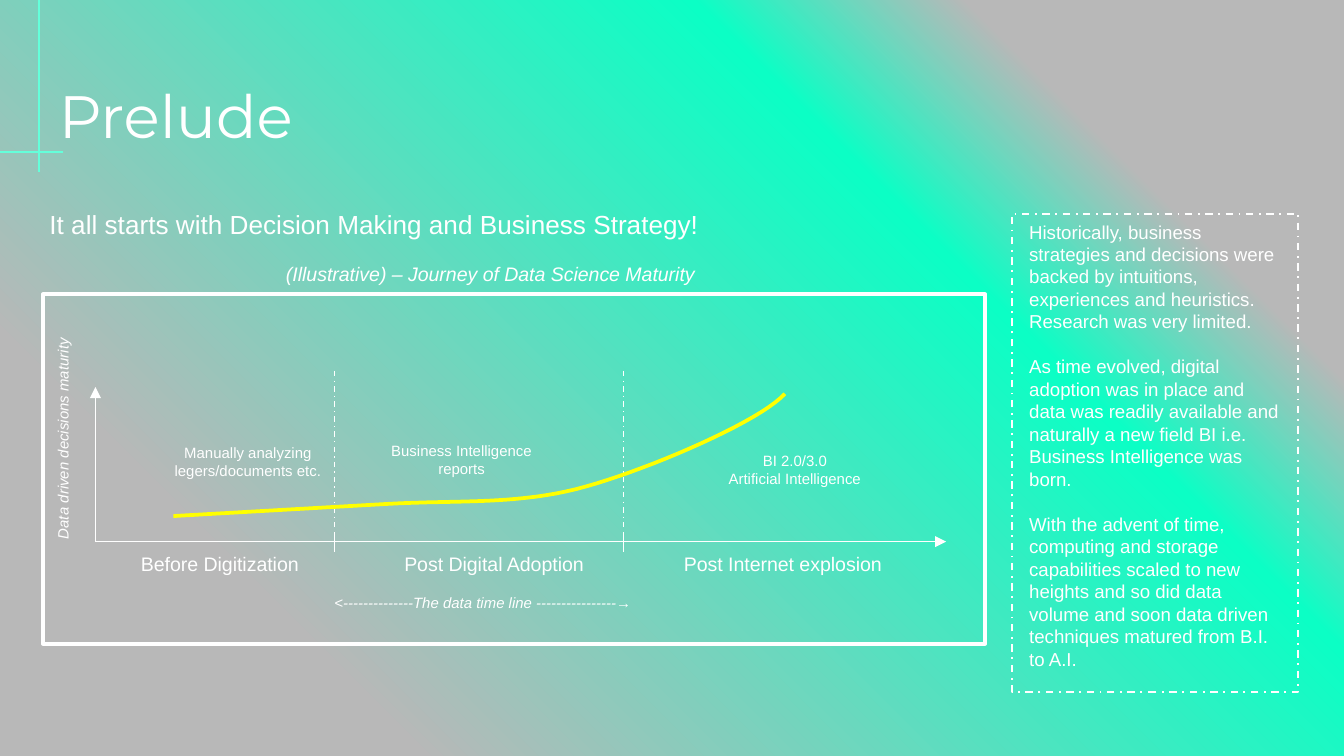
from lxml import etree
from pptx import Presentation
from pptx.dml.color import RGBColor
from pptx.enum.dml import MSO_LINE
from pptx.enum.shapes import MSO_CONNECTOR, MSO_SHAPE
from pptx.enum.text import MSO_AUTO_SIZE, PP_ALIGN
from pptx.oxml.ns import qn
from pptx.util import Inches, Pt

STRAIGHT = MSO_CONNECTOR.STRAIGHT
RECTANGLE = MSO_SHAPE.RECTANGLE
DASH_DOT = MSO_LINE.DASH_DOT
GROW, FIXED = MSO_AUTO_SIZE.SHAPE_TO_FIT_TEXT, MSO_AUTO_SIZE.NONE
LEFT, CENTER = PP_ALIGN.LEFT, PP_ALIGN.CENTER
BLANK = 6

COLORS = {"text": "FFFFFF", "accent": "64FFDA", "curve": "FFFF00",
          "edge": "B8B8B8", "glow": "0BFFC5"}
GLOW_STOPS = [(18, "edge"), (31, "glow"), (80, "edge")]

STAGES = [
    ("Before Digitization", 0.63, 1.46,
     ["Manually analyzing legers/documents etc."], 0.77, 1.06),
    ("Post Digital Adoption", 2.59, 1.57,
     ["Business Intelligence reports"], 2.36, 1.05),
    ("Post Internet explosion", 4.67, 1.7,
     ["BI 2.0/3.0", "Artificial Intelligence"], 4.84, 1.12),
]
CURVE_START = (0.97, 1.65)
CURVE_BENDS = [
    [(2.56, 1.56), (3.07, 1.53), (3.55, 1.57), (4.04, 1.43)],
    [(4.04, 1.43), (4.54, 1.29), (5.34, 0.94), (5.52, 0.74)],
]
HISTORY = [
    "Historically, business strategies and decisions were backed by intuitions, "
    "experiences and heuristics. Research was very limited.",
    "As time evolved, digital adoption was in place and data was readily available "
    "and naturally a new field BI i.e. Business Intelligence was born.",
    "With the advent of time, computing and storage capabilities scaled to new "
    "heights and so did data volume and soon data driven techniques matured from "
    "B.I. to A.I.",
]


def rgb(name):
    """Return the named colour."""
    return RGBColor.from_string(COLORS[name])


def style_line(line, color, width, dash=None):
    """Set the colour, width and dash of a line."""
    line.color.rgb = rgb(color)
    line.width = Pt(width)
    if dash:
        line.dash_style = dash


def add_text(shapes, box, paragraphs, size, wrap=False, font="Arial",
             italic=False, align=LEFT, autosize=GROW, inset=0.05, spacing=None):
    """Add a text box at the given left, top, width and height."""
    label = shapes.add_textbox(*map(Inches, box))
    frame = label.text_frame
    frame.text = "\n".join(paragraphs)
    frame.word_wrap = wrap
    frame.auto_size = autosize
    frame.margin_top = frame.margin_bottom = Inches(inset)
    for paragraph in frame.paragraphs:
        paragraph.alignment = align
        if spacing:
            paragraph.line_spacing = paragraph.space_after = Pt(spacing)
        look = {"name": font, "size": Pt(size), "italic": italic}
        for key, value in look.items():
            setattr(paragraph.runs[0].font, key, value)
        paragraph.runs[0].font.color.rgb = rgb("text")
    return label


def add_line(shapes, start, end, color="text", dash=None, arrow=False):
    """Add a thin straight line, with an arrowhead at its end if asked."""
    rule = shapes.add_connector(STRAIGHT, *map(Inches, (*start, *end)))
    style_line(rule.line, color, 0.75, dash)
    properties = rule.element.spPr
    if arrow:
        head = etree.SubElement(properties.find(qn("a:ln")), qn("a:tailEnd"))
        head.set("type", "triangle")
    etree.SubElement(properties, qn("a:effectLst"))


def add_outline(shapes, box, width, dash=None):
    """Add an unfilled white rectangle."""
    outline = shapes.add_shape(RECTANGLE, *map(Inches, box))
    outline.shadow.inherit = False
    outline.fill.background()
    style_line(outline.line, "text", width, dash)


def bezier(points, steps=20):
    """Return points along a cubic curve, leaving out its first one."""
    weights = [((1 - t) ** 3, 3 * t * (1 - t) ** 2, 3 * t * t * (1 - t), t ** 3)
               for t in (step / steps for step in range(1, steps + 1))]
    return [tuple(sum(w * p[axis] for w, p in zip(row, points)) for axis in (0, 1))
            for row in weights]


def paint_background(slide):
    """Fill the slide with the diagonal glow."""
    fill = slide.background.fill
    fill.gradient()
    fill.gradient_angle = 225
    stops = next(slide.element.iter(qn("a:gsLst")))
    for stop in list(stops):
        stops.remove(stop)
    for position, color in GLOW_STOPS:
        stop = etree.SubElement(stops, qn("a:gs"), pos=str(position * 1000))
        etree.SubElement(stop, qn("a:srgbClr"), val=COLORS[color])


def add_heading(slide, left, top):
    """Add the title with its crossed accent lines and the lead sentence."""
    shapes = slide.shapes
    add_text(shapes, (left, top, 9.32, 0.63), ["Prelude"], 32, wrap=True,
             font="Montserrat", autosize=FIXED, inset=0.1)
    add_line(shapes, (left - 0.05, 0), (left - 0.05, top + 0.79), "accent")
    add_line(shapes, (0, top + 0.64), (left + 0.13, top + 0.64), "accent")
    add_text(shapes, (left - 0.07, top + 1.01, 5.06, 0.34),
             ["It all starts with Decision Making and Business Strategy!"], 14)


def add_journey(slide, left, top, width, height):
    """Add the framed maturity diagram and its caption."""
    shapes = slide.shapes.add_group_shape().shapes

    def at(x, y):
        return left + x, top + y

    origin = at(0.39, 1.84)
    add_line(shapes, origin, at(6.72, 1.84), arrow=True)
    add_line(shapes, origin, at(0.39, 0.69), arrow=True)
    for x in (2.17, 4.32):
        add_line(shapes, at(x, 1.77), at(x, 1.92))
        add_line(shapes, at(x, 0.57), at(x, 1.73), dash=DASH_DOT)

    for stage, stage_x, stage_width, note, note_x, note_y in STAGES:
        add_text(shapes, (*at(stage_x, 1.87), stage_width, 0.28), [stage], 10.5)
        add_text(shapes, (*at(note_x, note_y), 1.51, 0.37), note, 8,
                 wrap=True, align=CENTER)
    maturity = add_text(shapes, (*at(-0.72, 0.93), 1.74, 0.24),
                        ["Data driven decisions maturity"], 8, italic=True)
    maturity.rotation = 270
    add_text(shapes, (*at(2.07, 2.18), 2.41, 0.24),
             ["<--------------The data time line ----------------→"], 8, italic=True)

    points = [CURVE_BENDS[0][0]] + [p for bend in CURVE_BENDS for p in bezier(bend)]
    builder = shapes.build_freeform(*map(Inches, at(*CURVE_START)))
    builder.add_line_segments([tuple(map(Inches, at(*p))) for p in points], close=False)
    curve = builder.convert_to_shape()
    curve.shadow.inherit = False
    curve.fill.background()
    style_line(curve.line, "curve", 2)

    add_outline(shapes, (left, top, width, height), 2)
    add_text(slide.shapes, (*at(1.71, -0.29), 3.3, 0.28),
             ["(Illustrative) – Journey of Data Science Maturity"], 10.5, italic=True)


def add_history(slide, left, top, width, height):
    """Add the dashed panel that tells the history."""
    add_text(slide.shapes, (left + 0.03, top, width - 0.06, height - 0.09), HISTORY,
             10, wrap=True, autosize=FIXED, spacing=12.05)
    add_outline(slide.shapes, (left, top, width, height), 1, DASH_DOT)


def main():
    """Build and save the slide."""
    deck = Presentation()
    deck.slide_width, deck.slide_height = Inches(10), Inches(10 * 9 / 16)
    slide = deck.slides.add_slide(deck.slide_layouts[BLANK])
    paint_background(slide)
    add_heading(slide, 0.34, 0.49)
    add_journey(slide, 0.32, 2.19, 7.01, 2.6)
    add_history(slide, 7.53, 1.59, 2.13, 3.56)
    deck.save("out.pptx")


if __name__ == "__main__":
    main()
